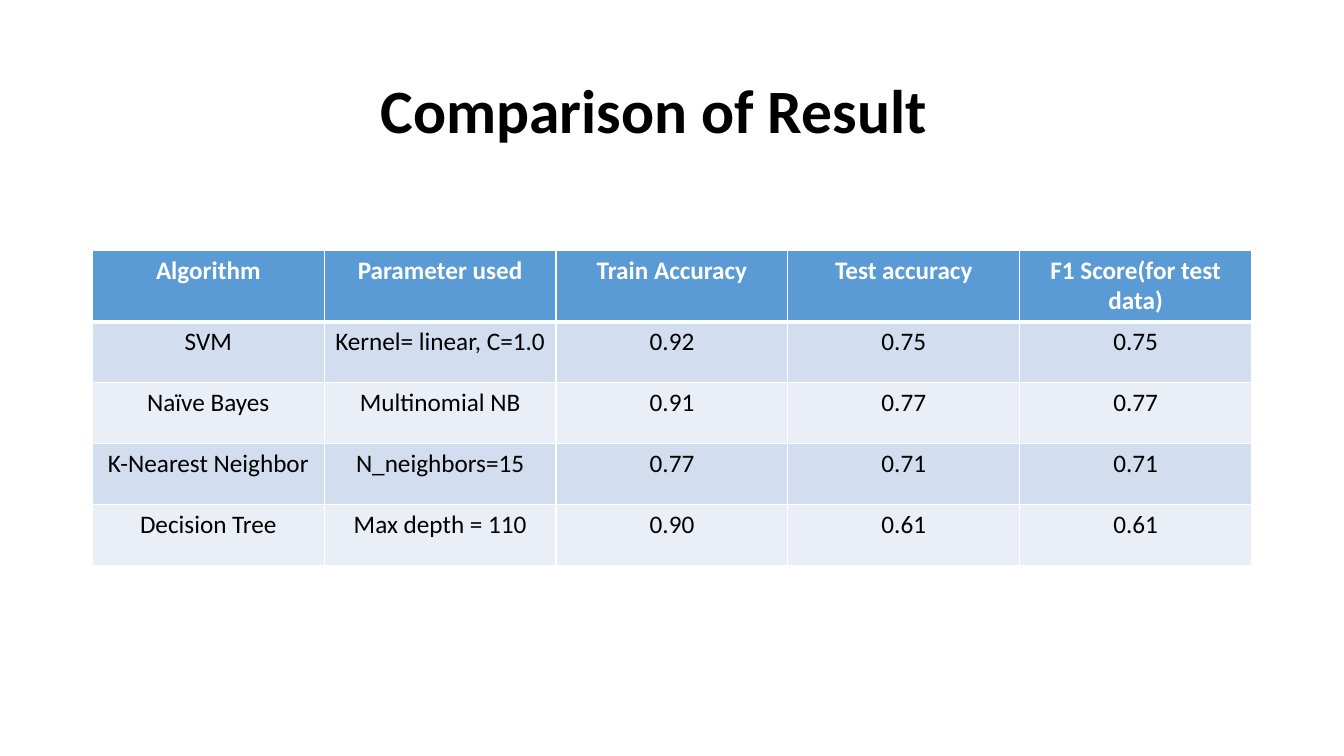
from lxml.etree import SubElement
from pptx import Presentation
from pptx.dml.color import RGBColor
from pptx.enum.text import MSO_ANCHOR, MSO_AUTO_SIZE, PP_ALIGN
from pptx.oxml.ns import qn
from pptx.util import Pt

LEFT, WIDTH = 66, 828
ROW_HEIGHT = 43.5
BLACK, WHITE = "000000", "FFFFFF"
HEADER_FILL, BAND_FILLS = "5B9BD5", ("D2DEEF", "EAEFF7")
RESULTS = [
    ("Algorithm", "Parameter used", "Train Accuracy", "Test accuracy",
     "F1 Score(for test data)"),
    ("SVM", "Kernel= linear, C=1.0", "0.92", "0.75", "0.75"),
    ("Naïve Bayes", "Multinomial NB", "0.91", "0.77", "0.77"),
    ("K-Nearest Neighbor", "N_neighbors=15", "0.77", "0.71", "0.71"),
    ("Decision Tree", "Max depth = 110", "0.90", "0.61", "0.61"),
]


def rgb(value):
    return RGBColor.from_string(value)


def set_attrs(target, values):
    for name, value in values.items():
        setattr(target, name, value)


def write(tf, text, size, color, bold, align):
    p = tf.paragraphs[0]
    p.alignment = align
    r = p.add_run()
    r.text = text
    set_attrs(r.font, {"name": "Calibri", "size": Pt(size), "bold": bold})
    r.font.color.rgb = rgb(color)
    return p


def add_title(s, text):
    title = s.shapes.title
    set_attrs(title, {"left": Pt(LEFT), "top": Pt(28.8),
                      "width": Pt(WIDTH), "height": Pt(104.4)})
    tf = title.text_frame
    set_attrs(tf, {"margin_left": Pt(206), "word_wrap": True,
                   "auto_size": MSO_AUTO_SIZE.NONE,
                   "vertical_anchor": MSO_ANCHOR.MIDDLE})
    p = write(tf, text, 44, BLACK, True, PP_ALIGN.LEFT)
    p.line_spacing = 0.9


def set_borders(cell, widths):
    tc_pr = cell._tc.get_or_add_tcPr()
    for side, width in widths.items():
        ln = SubElement(tc_pr, qn(f"a:ln{side}"), w=str(Pt(width)))
        fill = SubElement(ln, qn("a:solidFill"))
        SubElement(fill, qn("a:srgbClr"), val=WHITE)


def format_cell(cell, text, row):
    header = row == 0
    # A thick rule separates the header from the first result
    set_borders(cell, {"L": 1, "R": 1, "T": 3 if row == 1 else 1,
                       "B": 3 if header else 1})
    cell.fill.solid()
    cell.fill.fore_color.rgb = rgb(
        HEADER_FILL if header else BAND_FILLS[(row - 1) % 2])
    write(cell.text_frame, text, 18, WHITE if header else BLACK, header,
          PP_ALIGN.CENTER)


def add_results_table(s, rows):
    n_rows, n_cols = len(rows), len(rows[0])
    table = s.shapes.add_table(n_rows, n_cols, Pt(LEFT), Pt(178.6), Pt(WIDTH),
                               Pt(ROW_HEIGHT * n_rows)).table
    for column in table.columns:
        column.width = Pt(WIDTH / n_cols)
    for i, values in enumerate(rows):
        table.rows[i].height = Pt(ROW_HEIGHT)
        for j, text in enumerate(values):
            format_cell(table.cell(i, j), text, i)


def main():
    prs = Presentation()
    set_attrs(prs, {"slide_width": Pt(960), "slide_height": Pt(540)})
    s = prs.slides.add_slide(prs.slide_layouts[5])
    # Heading
    add_title(s, "Comparison of Result")
    # Accuracy of each algorithm
    add_results_table(s, RESULTS)
    prs.save("out.pptx")


if __name__ == "__main__":
    main()
